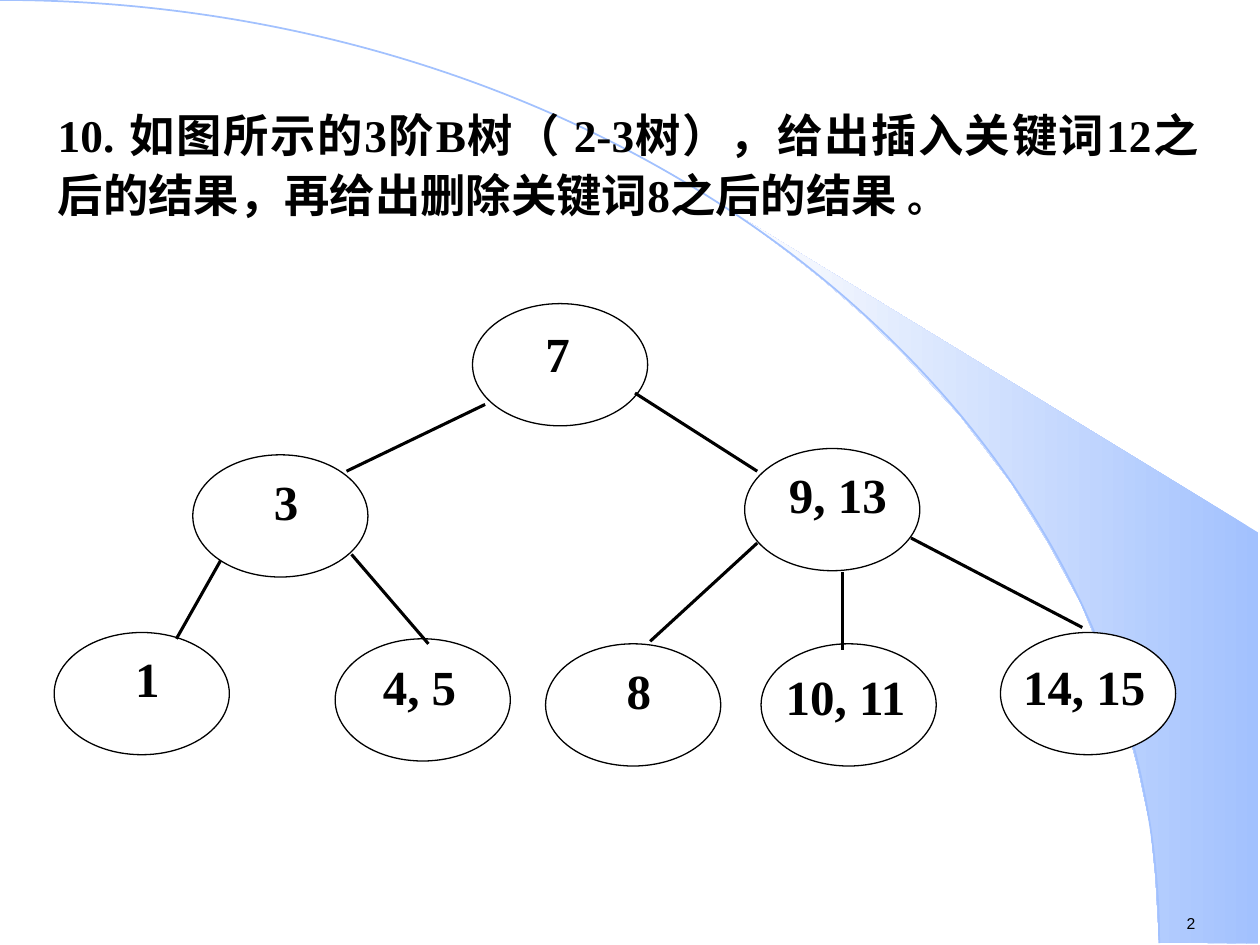
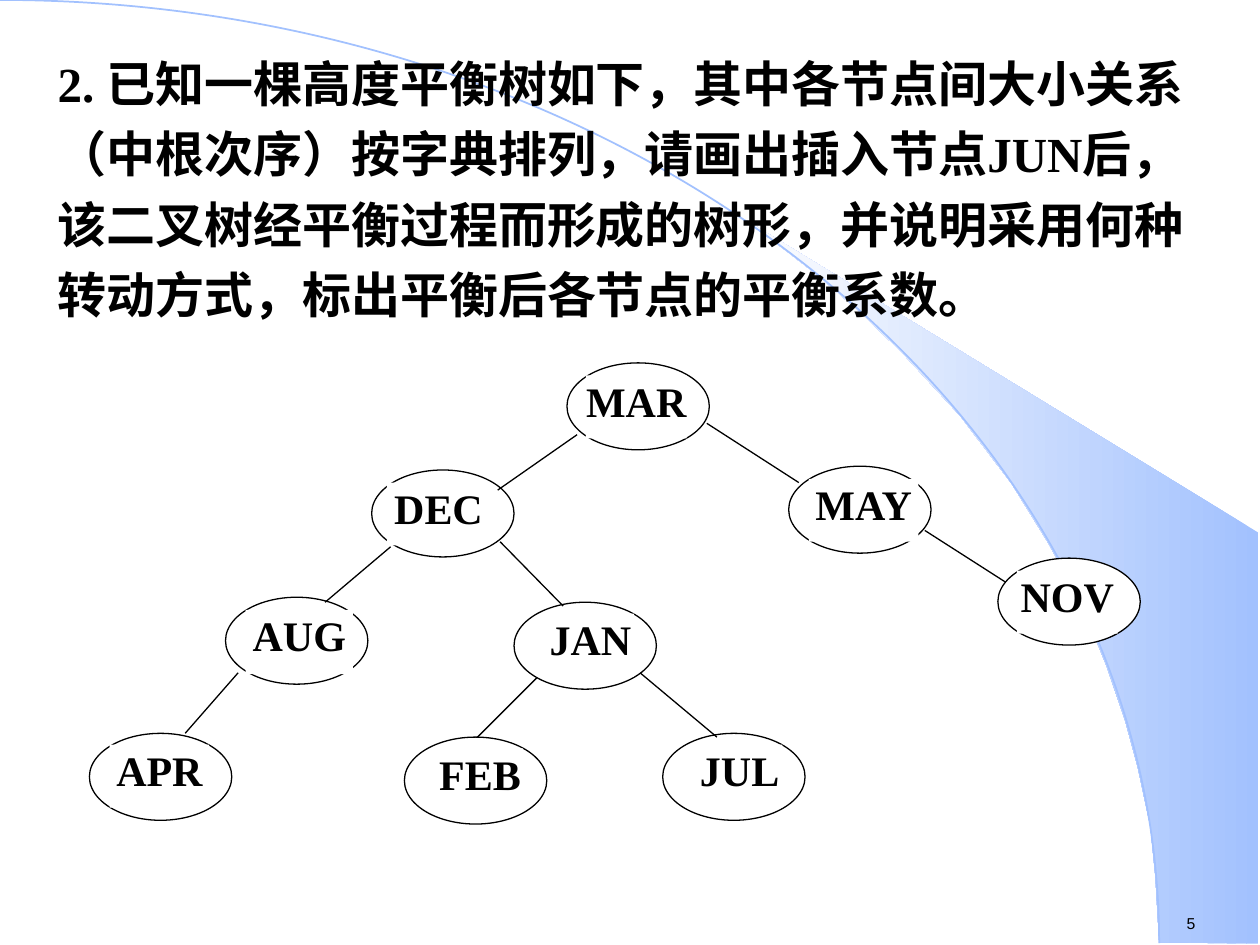
"""Two exercise slides on search trees: a 2-3 tree and a height-balanced tree."""
from lxml.etree import SubElement
from pptx import Presentation
from pptx.dml.color import RGBColor
from pptx.enum.shapes import MSO_CONNECTOR, MSO_SHAPE
from pptx.enum.text import MSO_ANCHOR, PP_ALIGN
from pptx.oxml.ns import qn
from pptx.util import Inches, Pt

BLACK, WHITE, BLUE, PALE = "000000", "FFFFFF", "A2C1FE", "FEFEFE"
SERIF, SANS = "Times New Roman", "Arial"
SWEEP = [
    (9.2, 7.48), (9.99, 7.49), (9.99, 4.23), (5.89, 1.73), (6.24, 1.99), (6.53, 2.22),
    (6.85, 2.5), (7.16, 2.8), (7.62, 3.3), (8.03, 3.84), (8.32, 4.31), (8.58, 4.79),
    (8.78, 5.28), (8.93, 5.72), (9.03, 6.09), (9.13, 6.56), (9.17, 6.96),
]

TREES = [
    {
        "number": "2",
        "question": [
            ("10. 如图所示的3阶B树（ 2-3树），给出插入关键词12之后的结果，再给出删除关键词8之后的结果 ", 25.9),
            ("。", 22.2),
        ],
        "question_box": (0.36, 0.76, 9.25, 1.42),
        "alignment": PP_ALIGN.JUSTIFY,
        "spacing": 1.1,
        "node_size": (1.39, 0.97),
        "label_points": 28,
        "edge_points": 1.75,
        "nodes": [
            ("7", (3.75, 2.41), (4.08, 2.57, 0.69, 0.55)),
            ("3", (1.53, 3.61), (1.85, 3.74, 0.84, 0.71)),
            ("9, 13", (5.91, 3.56), (6.23, 3.69, 0.84, 0.71)),
            ("1", (0.43, 5.02), (0.75, 5.15, 0.84, 0.71)),
            ("14, 15", (7.94, 5.02), (8.11, 5.21, 0.99, 0.51)),
            ("8", (4.33, 5.11), (4.65, 5.24, 0.84, 0.7)),
            ("4, 5", (2.66, 5.07), (2.91, 5.21, 0.84, 0.71)),
            ("10, 11", (6.04, 5.11), (6.22, 5.29, 0.98, 0.55)),
        ],
        "edges": [
            (3.85, 3.21, 2.75, 3.74), (1.75, 4.45, 1.4, 5.07), (5.04, 3.12, 6.01, 3.74),
            (7.23, 4.27, 8.59, 4.98), (2.79, 4.4, 3.4, 5.11), (6.69, 4.54, 6.69, 5.16),
            (6.01, 4.31, 5.16, 5.09),
        ],
    },
    {
        "number": "5",
        "question": [
            ("2. 已知一棵高度平衡树如下，其中各节点间大小关系（中根次序）按字典排列，"
             "请画出插入节点JUN后，该二叉树经平衡过程而形成的树形，"
             "并说明采用何种转动方式，标出平衡后各节点的平衡系数。", 28),
        ],
        "question_box": (0.36, 0.28, 9.25, 2.4),
        "alignment": PP_ALIGN.LEFT,
        "spacing": 1.2,
        "node_size": (1.13, 0.69),
        "label_points": 24,
        "edge_points": 0.75,
        "nodes": [
            ("MAR", (4.5, 2.88), (4.65, 2.98, 0.8, 0.5)),
            ("DEC", (2.95, 3.73), (3.07, 3.83, 0.82, 0.5)),
            ("MAY", (6.26, 3.7), (6.42, 3.8, 0.87, 0.5)),
            ("AUG", (1.79, 4.74), (1.95, 4.84, 0.85, 0.51)),
            ("NOV", (7.92, 4.43), (8.07, 4.53, 0.8, 0.5)),
            ("APR", (0.71, 5.82), (0.87, 5.91, 0.79, 0.5)),
            ("JUL", (5.26, 5.82), (5.53, 5.91, 0.68, 0.5)),
            ("JAN", (4.08, 4.78), (4.34, 4.87, 0.69, 0.5)),
            ("FEB", (3.21, 5.85), (3.47, 5.94, 0.68, 0.5)),
        ],
        "edges": [
            (4.58, 3.45, 3.95, 3.89), (3.1, 4.34, 2.58, 4.78), (1.89, 5.34, 1.47, 5.82),
            (5.61, 3.36, 6.34, 3.83), (7.34, 4.21, 7.98, 4.62), (3.97, 4.3, 4.47, 4.81),
            (5.08, 5.34, 5.69, 5.85), (4.26, 5.38, 3.79, 5.85),
        ],
    },
]


def color(hex_string):
    return RGBColor.from_string(hex_string)


def style_span(span, name, points, bold):
    span.font.name = name
    span.font.size = Pt(points)
    span.font.bold = bold
    span.font.color.rgb = color(BLACK)


deck = Presentation()
deck.slide_width, deck.slide_height = Inches(10), Inches(7.5)

for tree in TREES:
    page = deck.slides.add_slide(deck.slide_layouts[6])
    shapes = page.shapes

    outline = shapes.build_freeform(Inches(SWEEP[0][0]), Inches(SWEEP[0][1]))
    outline.add_line_segments([(Inches(x), Inches(y)) for x, y in SWEEP[1:]], close=True)
    sweep = outline.convert_to_shape()
    sweep.shadow.inherit = False
    sweep.line.fill.background()
    sweep.fill.gradient()
    sweep.fill.gradient_angle = 180
    for stop, shade, position in zip(sweep.fill.gradient_stops, (BLUE, PALE), (0, 1)):
        stop.color.rgb = color(shade)
        stop.position = position

    arc = shapes.add_shape(MSO_SHAPE.ARC, Inches(-9.2), Inches(0), Inches(18.4), Inches(14.97))
    arc.shadow.inherit = False
    arc.fill.background()
    arc.line.color.rgb = color(BLUE)
    arc.line.width = Pt(1)

    number_box = shapes.add_textbox(Inches(9.32), Inches(7.2), Inches(0.77), Inches(0.25))
    number_box.text_frame.text = tree["number"]
    style_span(number_box.text_frame.paragraphs[0].runs[0], SANS, 9, False)

    question_box = shapes.add_textbox(*map(Inches, tree["question_box"]))
    question_box.text_frame.word_wrap = True
    para = question_box.text_frame.paragraphs[0]
    para.alignment = tree["alignment"]
    para.line_spacing = tree["spacing"]
    para._p.get_or_add_pPr().set("hangingPunct", "0")
    for text, points in tree["question"]:
        span = para.add_run()
        span.text = text
        style_span(span, SERIF, points, True)

    for text, corner, label_place in tree["nodes"]:
        node = shapes.add_shape(MSO_SHAPE.OVAL, *map(Inches, corner + tree["node_size"]))
        label = shapes.add_shape(MSO_SHAPE.RECTANGLE, *map(Inches, label_place))
        for shape in (node, label):
            shape.shadow.inherit = False
            shape.fill.solid()
            shape.fill.fore_color.rgb = color(WHITE)
        node.line.color.rgb = color(BLACK)
        node.line.width = Pt(0.75)
        label.line.fill.background()
        frame = label.text_frame
        frame.margin_left = frame.margin_right = frame.margin_top = frame.margin_bottom = 0
        frame.vertical_anchor = MSO_ANCHOR.TOP
        frame.word_wrap = True
        frame.text = text
        frame.paragraphs[0].alignment = PP_ALIGN.CENTER
        style_span(frame.paragraphs[0].runs[0], SERIF, tree["label_points"], True)

    for ends in tree["edges"]:
        edge = shapes.add_connector(MSO_CONNECTOR.STRAIGHT, *map(Inches, ends))
        edge.line.color.rgb = color(BLACK)
        edge.line.width = Pt(tree["edge_points"])
        SubElement(edge._element.spPr, qn("a:effectLst"))

deck.save("out.pptx")
